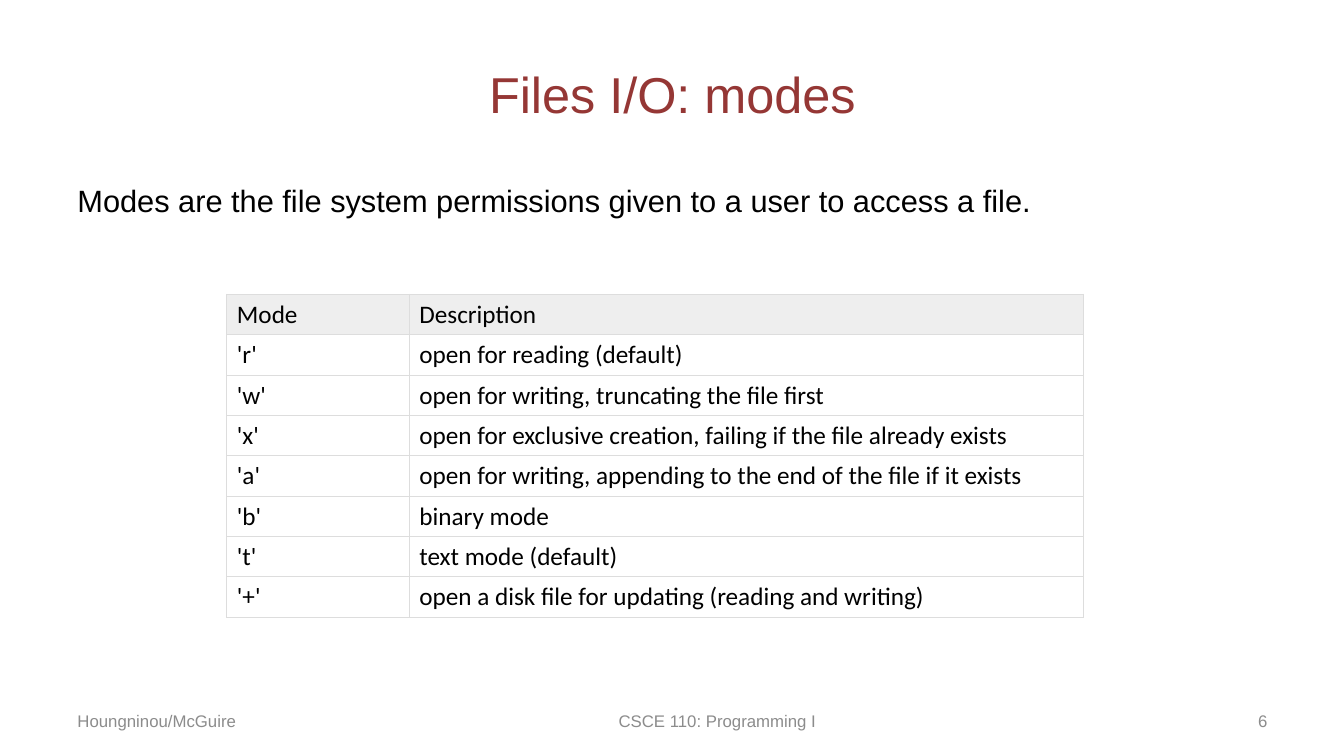
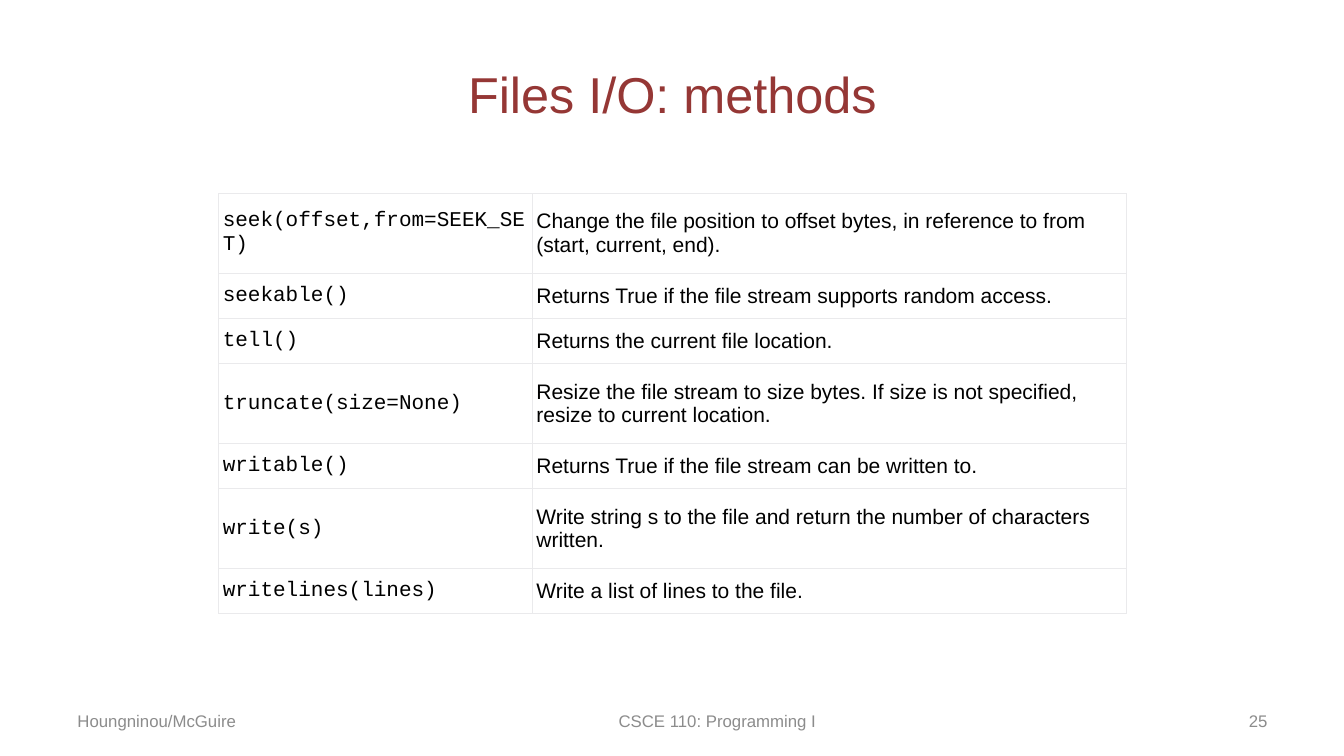
from dataclasses import dataclass
from pptx import Presentation
from pptx.dml.color import RGBColor as Rgb
from pptx.enum.text import MSO_ANCHOR as Anchor, PP_ALIGN as Align
from pptx.oxml import parse_xml
from pptx.oxml.ns import nsdecls
from pptx.util import Inches, Pt


@dataclass(frozen=True)
class Theme:
    sans: str = "Arial"
    body: str = "Calibri"
    mono: str = "Courier New"
    title: str = "953735"
    ink: str = "000000"
    muted: str = "8C8C8C"
    white: str = "FFFFFF"
    head: str = "EEEEEE"
    rule: str = "DDDDDD"
    pale: str = "EAEAEC"
    title_pt: int = 36
    lead_pt: int = 22
    mode_pt: int = 18
    method_pt: int = 15
    foot_pt: int = 12


THEME = Theme()
LEFT, WIDE = 0.67, 12

MODES = [
    ("Mode", "Description"),
    ("'r'", "open for reading (default)"),
    ("'w'", "open for writing, truncating the file first"),
    ("'x'", "open for exclusive creation, failing if the file already exists"),
    ("'a'", "open for writing, appending to the end of the file if it exists"),
    ("'b'", "binary mode"),
    ("'t'", "text mode (default)"),
    ("'+'", "open a disk file for updating (reading and writing)"),
]

METHODS = [
    ("seek(offset,from=SEEK_SET)",
     "Change the file position to offset bytes, in reference to from (start, current, end)."),
    ("seekable()", "Returns True if the file stream supports random access."),
    ("tell()", "Returns the current file location."),
    ("truncate(size=None)",
     "Resize the file stream to size bytes. If size is not specified, resize to current location."),
    ("writable()", "Returns True if the file stream can be written to."),
    ("write(s)", "Write string s to the file and return the number of characters written."),
    ("writelines(lines)", "Write a list of lines to the file."),
]


# Text
def style(para, font, size, color, align=Align.LEFT):
    para.alignment = align
    para.font.name = font
    para.font.size = Pt(size)
    para.font.color.rgb = Rgb.from_string(color)


def add_text(slide, box, text, size, color, align=Align.LEFT, anchor=Anchor.MIDDLE):
    frame = slide.shapes.add_textbox(*map(Inches, box)).text_frame
    frame.word_wrap = True
    frame.vertical_anchor = anchor
    frame.text = text
    style(frame.paragraphs[0], THEME.sans, size, color, align)


# Title and footer shared by the slides
def add_slide(deck, title, number):
    slide = deck.slides.add_slide(deck.slide_layouts[5])
    head = slide.shapes.title
    head.left, head.top, head.width, head.height = map(Inches, (LEFT, 0.3, WIDE, 1.25))
    head.text_frame.text = title
    head.text_frame.vertical_anchor = Anchor.MIDDLE
    style(head.text_frame.paragraphs[0], THEME.sans, THEME.title_pt, THEME.title, Align.CENTER)
    for left, width, text, align in (
        (LEFT, 3.11, "Houngninou/McGuire", Align.LEFT),
        (4.56, 5.11, "CSCE 110: Programming I", Align.CENTER),
        (9.56, 3.11, str(number), Align.RIGHT),
    ):
        add_text(slide, (left, 6.95, width, 0.4), text, THEME.foot_pt, THEME.muted, align)
    return slide


# Tables
def add_edges(cell, color):
    props = cell._tc.get_or_add_tcPr()
    for side in "LRTB":
        props.append(parse_xml(
            f'<a:ln{side} {nsdecls("a")} w="{Pt(0.75)}"><a:solidFill>'
            f'<a:srgbClr val="{color}"/></a:solidFill></a:ln{side}>'))


def add_grid(slide, spot, cols, heights, rows, fonts, size, rule, head=None, pad=None):
    area = (*spot, sum(cols), sum(heights))
    table = slide.shapes.add_table(len(rows), len(cols), *map(Inches, area)).table
    table.first_row = table.horz_banding = False
    for col, width in zip(table.columns, cols):
        col.width = Inches(width)
    for i, (row, height) in enumerate(zip(table.rows, heights)):
        row.height = Inches(height)
        fill = head if head and i == 0 else THEME.white
        for cell, text, font in zip(row.cells, rows[i], fonts):
            cell.text = text
            cell.vertical_anchor = Anchor.MIDDLE
            if pad:
                cell.margin_left = cell.margin_right = Inches(pad[0])
                cell.margin_top = cell.margin_bottom = Inches(pad[1])
            add_edges(cell, rule)
            cell.fill.solid()
            cell.fill.fore_color.rgb = Rgb.from_string(fill)
            style(cell.text_frame.paragraphs[0], font, size, THEME.ink)


# Slides
def add_modes(deck):
    slide = add_slide(deck, "Files I/O: modes", 6)
    add_text(slide, (LEFT, 1.75, WIDE, 0.6),
             "Modes are the file system permissions given to a user to access a file.",
             THEME.lead_pt, THEME.ink, anchor=Anchor.TOP)
    add_grid(slide, (2.25, 2.92), (1.81, 6.69), [0.4] * len(MODES), MODES,
             (THEME.body, THEME.body), THEME.mode_pt, THEME.rule, head=THEME.head)


def add_methods(deck):
    slide = add_slide(deck, "Files I/O: methods", 25)
    one, two = 0.45, 0.79
    add_grid(slide, (2.17, 1.92), (3.11, 5.89), (two, one, one, two, one, two, one), METHODS,
             (THEME.mono, THEME.sans), THEME.method_pt, THEME.pale, pad=(0.04, 0.03))


def main():
    deck = Presentation()
    deck.slide_width, deck.slide_height = Inches(13.33), Inches(7.5)
    add_modes(deck)
    add_methods(deck)
    deck.save("out.pptx")


if __name__ == "__main__":
    main()
